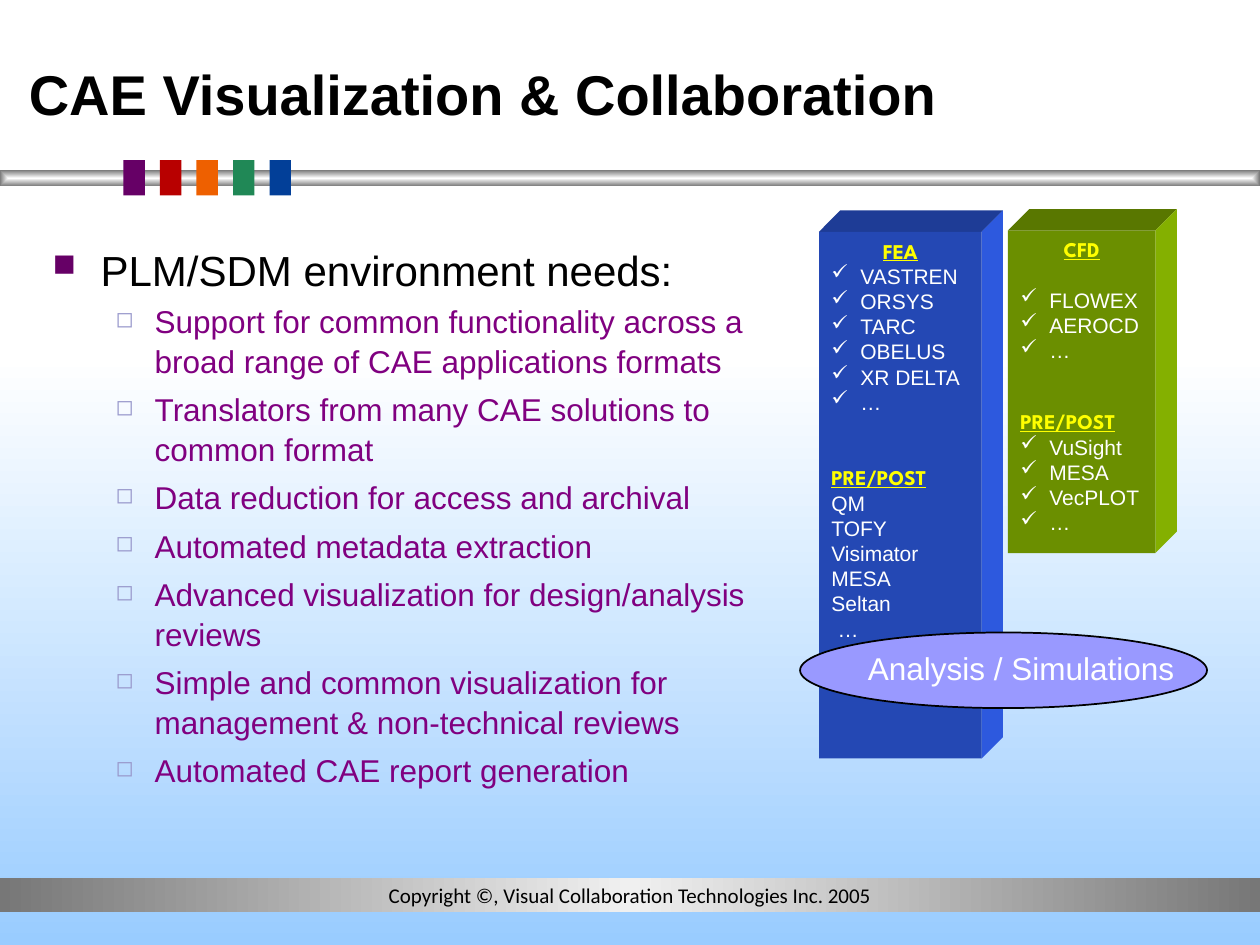
from dataclasses import dataclass
from typing import NamedTuple, Optional

from lxml import etree
from pptx import Presentation
from pptx.dml.color import RGBColor
from pptx.enum.shapes import MSO_SHAPE
from pptx.enum.text import MSO_ANCHOR, PP_ALIGN
from pptx.oxml.ns import qn
from pptx.util import Inches, Pt

RECT, OVAL = MSO_SHAPE.RECTANGLE, MSO_SHAPE.OVAL
LEFT, MID = PP_ALIGN.LEFT, PP_ALIGN.CENTER
TOP, HALF = MSO_ANCHOR.TOP, MSO_ANCHOR.MIDDLE

CELL = Inches(0.1)
DEPTH = 1.7

WHITE = RGBColor(0xFF, 0xFF, 0xFF)
BLACK = RGBColor(0x00, 0x00, 0x00)
SKY = RGBColor(0x99, 0xCC, 0xFF)
GREY = RGBColor(0x77, 0x77, 0x77)
PALE = RGBColor(0xF0, 0xF0, 0xF0)
PLUM = RGBColor(0x66, 0x00, 0x66)
RED = RGBColor(0xB8, 0x00, 0x00)
ORANGE = RGBColor(0xEE, 0x60, 0x00)
GREEN = RGBColor(0x20, 0x88, 0x56)
BLUE = RGBColor(0x02, 0x3F, 0x98)
PURPLE = RGBColor(0x80, 0x00, 0x80)
LILAC = RGBColor(0x99, 0x99, 0xCC)
MAUVE = RGBColor(0x99, 0x99, 0xFF)
YELLOW = RGBColor(0xFF, 0xFF, 0x00)
NAVY = RGBColor(0x24, 0x48, 0xB4)
NAVY_DARK = RGBColor(0x1E, 0x3C, 0x96)
NAVY_LIGHT = RGBColor(0x2D, 0x59, 0xDE)
LIME = RGBColor(0x6B, 0x8F, 0x00)
LIME_DARK = RGBColor(0x59, 0x77, 0x00)
LIME_LIGHT = RGBColor(0x84, 0xB0, 0x00)


class Box(NamedTuple):
    col: float
    row: float
    wide: float
    high: float


class Mark(NamedTuple):
    sign: str
    tint: RGBColor
    size: int
    left: float
    hang: float


@dataclass(frozen=True)
class Style:
    size: float
    tint: RGBColor
    face: str = "Arial"
    bold: bool = False
    under: bool = False
    align: PP_ALIGN = LEFT
    space: float = 1
    above: float = 0
    below: float = 0
    mark: Optional[Mark] = None
    left: float = 0


class Line(NamedTuple):
    text: str
    style: Style
    above: Optional[float] = None


@dataclass(frozen=True)
class Block:
    box: Box
    front: RGBColor
    top: RGBColor
    side: RGBColor
    lines: list[Line]


TITLE = Style(32, BLACK, bold=True)
FOOT = Style(12, BLACK, "Calibri", align=MID)
LEAD = Style(24, BLACK, space=1.2, mark=Mark("■", PLUM, 75, 3.8, 3.8))
POINT = Style(18, PURPLE, space=1.05, above=3, below=2,
              mark=Mark("◻", LILAC, 70, 8.1, 3.1))
HEAD = Style(12, YELLOW, "League Spartan", True, True, MID)
PART = Style(12, YELLOW, "League Spartan", True, True)
TICK = Style(12, WHITE, mark=Mark("✓", WHITE, 100, 2.3, 2.3))
PLAIN = Style(12, WHITE)
DOTS = Style(12, WHITE, left=0.5)
LABEL = Style(18, WHITE)

POINTS = [
    "Support for common functionality across a broad range of CAE applications formats",
    "Translators from many CAE solutions to common format",
    "Data reduction for access and archival",
    "Automated metadata extraction",
    "Advanced visualization for design/analysis reviews",
    "Simple and common visualization for management & non-technical reviews",
    "Automated CAE report generation",
]
CHIPS = [PLUM, RED, ORANGE, GREEN, BLUE]


def ticks(*names: str) -> list[Line]:
    return [Line(name, TICK) for name in names]


BLOCKS = [
    Block(Box(80, 18.3, 11.7, 25.6), LIME, LIME_DARK, LIME_LIGHT, [
        Line("CFD", HEAD), Line("FLOWEX", TICK, 14.4), *ticks("AEROCD", "…"),
        Line("PRE/POST", PART, 26.4), *ticks("VuSight", "MESA", "VecPLOT", "…")]),
    Block(Box(65, 18.4, 12.9, 41.8), NAVY, NAVY_DARK, NAVY_LIGHT, [
        Line("FEA", HEAD), *ticks("VASTREN", "ORSYS", "TARC", "OBELUS", "XR DELTA", "…"),
        Line("PRE/POST", PART, 28.8),
        *[Line(name, PLAIN) for name in ("QM", "TOFY", "Visimator", "MESA", "Seltan")],
        Line("…", DOTS)]),
]


def span(cells: float) -> int:
    return round(cells * CELL)


def paint(shape, tint: RGBColor) -> None:
    shape.shadow.inherit = False
    shape.fill.solid()
    shape.fill.fore_color.rgb = tint
    shape.line.fill.background()


def draw(shapes, box: Box, tint: RGBColor, kind=RECT):
    shape = shapes.add_shape(kind, *map(span, box))
    paint(shape, tint)
    return shape


def blend(shape, tints: list[RGBColor], angle: Optional[int] = None) -> None:
    shape.fill.gradient()
    grad = shape.element.spPr.find(qn("a:gradFill"))
    for child in list(grad):
        grad.remove(child)
    stops = etree.SubElement(grad, qn("a:gsLst"))
    for i, tint in enumerate(tints):
        stop = etree.SubElement(stops, qn("a:gs"), pos=str(100000 * i // (len(tints) - 1)))
        etree.SubElement(stop, qn("a:srgbClr"), val=str(tint))
    if angle is None:
        way = etree.SubElement(grad, qn("a:path"), {"path": "shape"})
        etree.SubElement(way, qn("a:fillToRect"), dict.fromkeys("ltrb", "50000"))
    else:
        etree.SubElement(grad, qn("a:lin"), ang=str(angle * 60000), scaled="0")


def add_mark(para, mark: Mark) -> None:
    props = para._p.get_or_add_pPr()
    props.set("marL", str(span(mark.left)))
    props.set("indent", str(-span(mark.hang)))
    tint = etree.SubElement(props, qn("a:buClr"))
    etree.SubElement(tint, qn("a:srgbClr"), val=str(mark.tint))
    etree.SubElement(props, qn("a:buSzPct"), val=str(mark.size * 1000))
    etree.SubElement(props, qn("a:buChar"), char=mark.sign)


def write(shape, lines: list[Line], anchor=TOP) -> None:
    frame = shape.text_frame
    frame.word_wrap = True
    frame.vertical_anchor = anchor
    for i, (text, style, above) in enumerate(lines):
        para = frame.add_paragraph() if i else frame.paragraphs[0]
        para.text = text
        para.alignment = style.align
        para.line_spacing = style.space
        para.space_before = Pt((style.above if above is None else above) if i else 0)
        para.space_after = Pt(style.below)
        if style.mark:
            add_mark(para, style.mark)
        elif style.left:
            para._p.get_or_add_pPr().set("marL", str(span(style.left)))
        font = para.font
        font.name, font.size, font.bold = style.face, Pt(style.size), style.bold
        font.underline = style.under
        font.color.rgb = style.tint


def place(shapes, box: Box, lines: list[Line], anchor=TOP) -> None:
    write(shapes.add_textbox(*map(span, box)), lines, anchor)


def face(shapes, spots: list[tuple[float, float]], tint: RGBColor) -> None:
    first, *rest = [(span(x), span(y)) for x, y in spots]
    pen = shapes.build_freeform(*first)
    pen.add_line_segments(rest, close=True)
    paint(pen.convert_to_shape(), tint)


def build(shapes, block: Block) -> None:
    x, y, wide, high = block.box
    right, base = x + wide, y + high
    face(shapes, [(x, y), (x + DEPTH, y - DEPTH), (right + DEPTH, y - DEPTH), (right, y)],
         block.top)
    face(shapes, [(right, y), (right + DEPTH, y - DEPTH), (right + DEPTH, base - DEPTH),
                  (right, base)], block.side)
    write(draw(shapes, block.box, block.front), block.lines)


def main() -> None:
    deck = Presentation()
    deck.slide_width, deck.slide_height = span(100), span(75)
    shapes = deck.slides.add_slide(deck.slide_layouts[6]).shapes

    blend(draw(shapes, Box(0, 28.2, 100, 46.8), SKY), [WHITE, SKY], 90)
    blend(draw(shapes, Box(0, 13.5, 100, 1.3), GREY), [WHITE, GREY])
    foot = draw(shapes, Box(0, 69.7, 100, 2.7), GREY)
    blend(foot, [GREY, PALE, GREY], 0)
    write(foot, [Line("Copyright ©, Visual Collaboration Technologies Inc. 2005", FOOT)], HALF)
    for i, tint in enumerate(CHIPS):
        draw(shapes, Box(9.8 + 2.9 * i, 12.7, 1.7, 2.8), tint)

    place(shapes, Box(1.3, 4.4, 75.5, 5.9),
          [Line("CAE Visualization & Collaboration", TITLE)], HALF)
    place(shapes, Box(3.2, 18.1, 58.7, 47.2),
          [Line("PLM/SDM environment needs:", LEAD), *[Line(text, POINT) for text in POINTS]])
    for block in BLOCKS:
        build(shapes, block)

    oval = draw(shapes, Box(63.5, 50.2, 32.3, 6), MAUVE, OVAL)
    oval.line.color.rgb = BLACK
    oval.line.width = Pt(1)
    place(shapes, Box(67.9, 51, 26.6, 4), [Line("Analysis / Simulations", LABEL)])
    deck.save("out.pptx")


if __name__ == "__main__":
    main()
